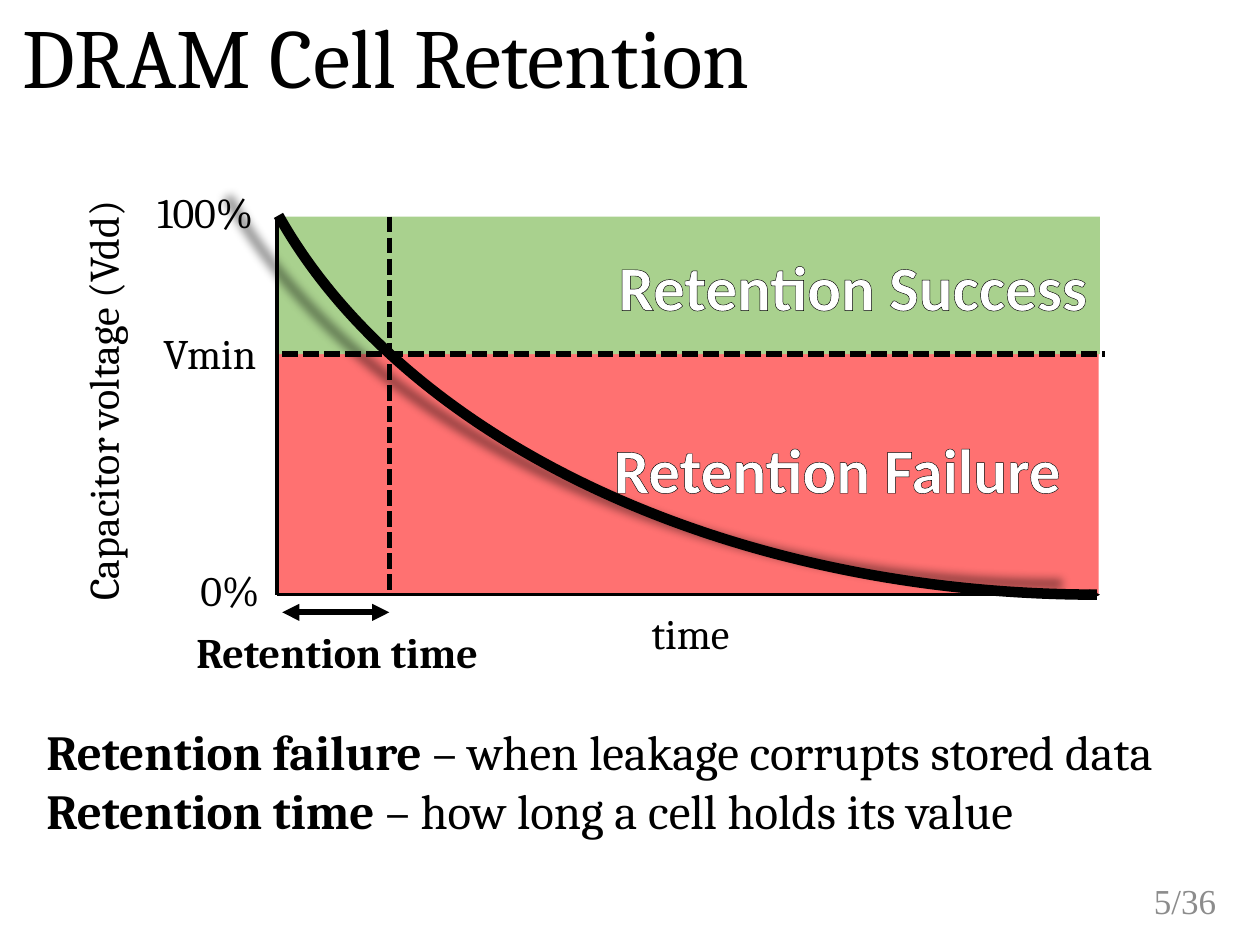
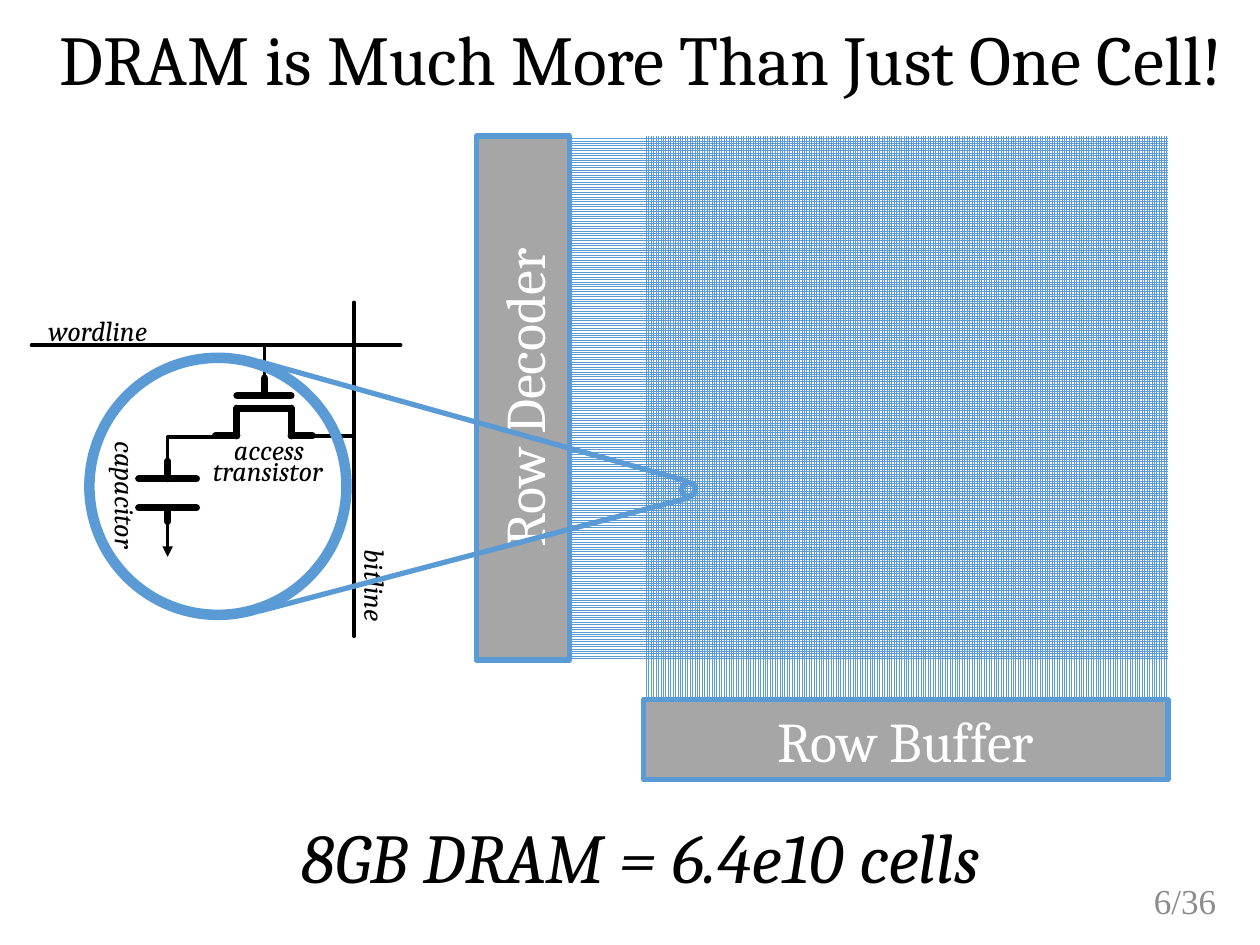
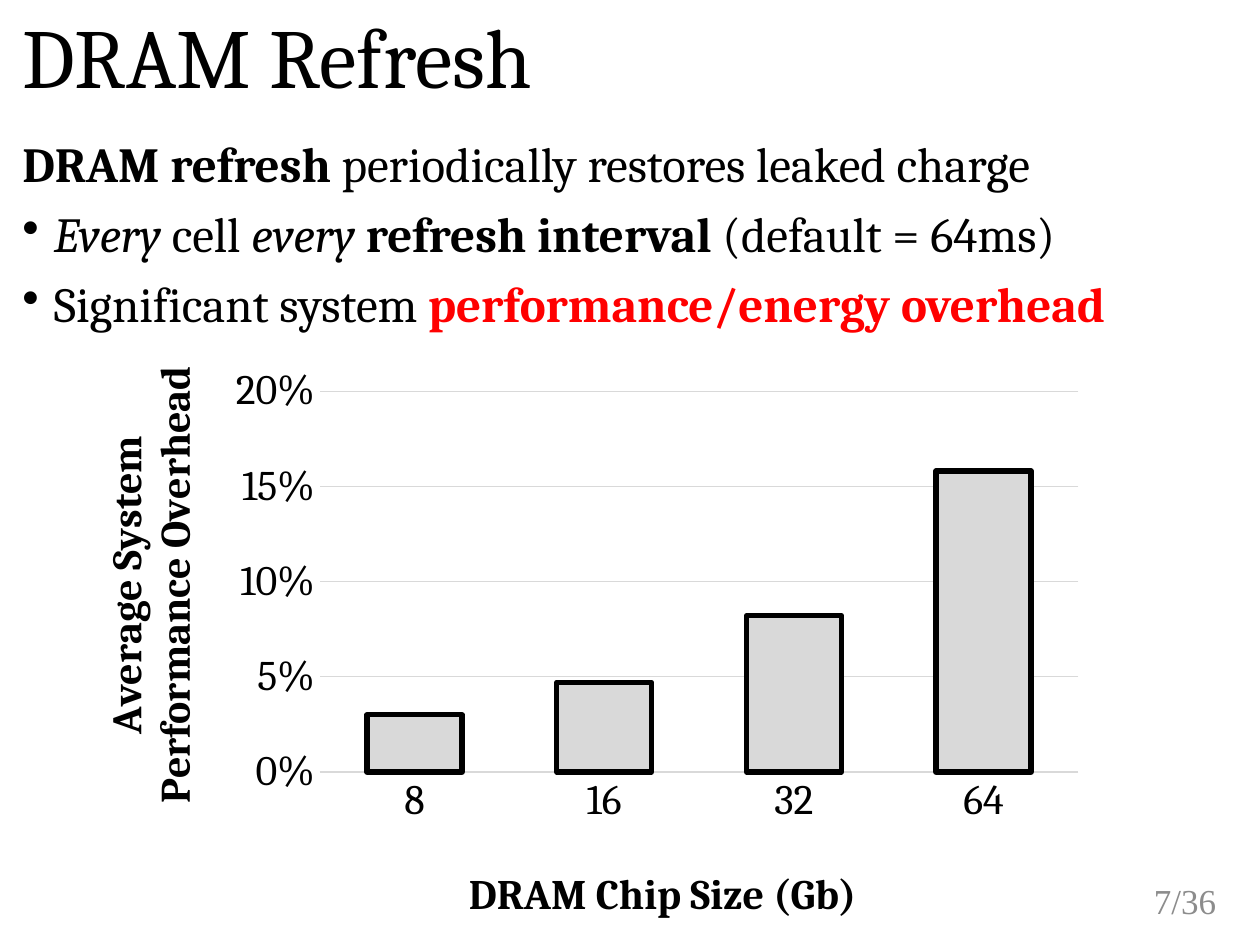
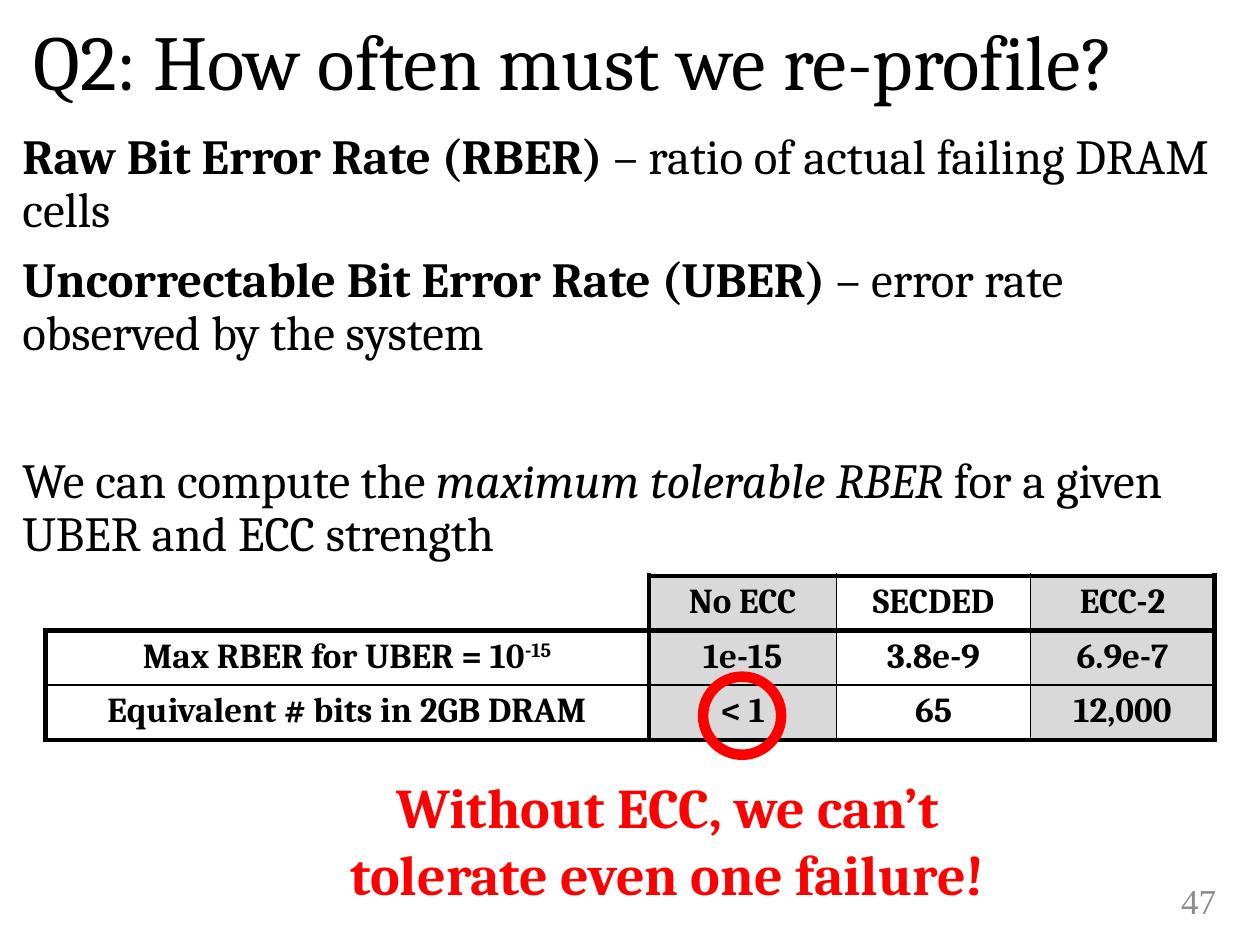
from dataclasses import dataclass, replace
from typing import Any, NamedTuple, Optional, Sequence

from lxml import etree
from pptx import Presentation
from pptx import util as u
from pptx.chart import data as chart_data
from pptx.dml.color import RGBColor
from pptx.enum import chart as charts, dml, shapes, text
from pptx.oxml import ns

WIDTH, HEIGHT = u.Inches(10), u.Inches(7.5)
COLUMN, ROW = WIDTH // 100, HEIGHT // 75  # every place below is in columns and rows

ALIGN, ANCHOR = text.PP_ALIGN, text.MSO_ANCHOR
SHAPE, PATTERN = shapes.MSO_SHAPE, dml.MSO_PATTERN


@dataclass(frozen=True)
class Theme:
    ink: RGBColor = RGBColor(0x00, 0x00, 0x00)
    paper: RGBColor = RGBColor(0xFF, 0xFF, 0xFF)
    muted: RGBColor = RGBColor(0x8C, 0x8C, 0x8C)
    alert: RGBColor = RGBColor(0xFF, 0x00, 0x00)
    success: RGBColor = RGBColor(0xA9, 0xD1, 0x8E)
    failure: RGBColor = RGBColor(0xFF, 0x71, 0x71)
    blue: RGBColor = RGBColor(0x5B, 0x9B, 0xD5)
    block: RGBColor = RGBColor(0xA6, 0xA6, 0xA6)
    pale: RGBColor = RGBColor(0xD9, 0xD9, 0xD9)
    serif: str = "Cambria"
    sans: str = "Calibri"
    footer: str = "Times New Roman"
    title: float = 48
    question: float = 44.4
    headline: float = 40
    band: float = 36
    callout: float = 32
    body: float = 28
    label: float = 24
    small: float = 20
    circuit: float = 16
    chart: float = 10


THEME = Theme()


@dataclass(frozen=True)
class Style:
    size: float
    color: RGBColor = THEME.ink
    face: str = THEME.serif
    bold: bool = False
    italic: bool = False
    align: Any = ALIGN.LEFT
    anchor: Any = ANCHOR.TOP
    spacing: Optional[float] = None


TITLE = Style(THEME.title, spacing=0.9)
HEADLINE = Style(THEME.headline, align=ALIGN.CENTER, spacing=0.9)
BODY = Style(THEME.body, spacing=0.9)
LABEL = Style(THEME.label, align=ALIGN.CENTER)
AXIS_LABEL = replace(LABEL, anchor=ANCHOR.MIDDLE)
AXIS_TITLE = replace(LABEL, bold=True)
CIRCUIT = Style(THEME.circuit, italic=True, align=ALIGN.CENTER, anchor=ANCHOR.MIDDLE)
BAND = Style(THEME.band, THEME.paper, THEME.sans, True, align=ALIGN.RIGHT, anchor=ANCHOR.MIDDLE)
BLOCK = Style(THEME.callout, THEME.paper, align=ALIGN.CENTER, anchor=ANCHOR.MIDDLE)
CELL = Style(THEME.small, bold=True, align=ALIGN.CENTER)
CALLOUT = Style(THEME.callout, THEME.alert, bold=True, align=ALIGN.CENTER)
NUMBER = Style(THEME.small, THEME.muted, THEME.footer, align=ALIGN.RIGHT, anchor=ANCHOR.MIDDLE)


class Area(NamedTuple):
    left: float
    top: float
    width: float
    height: float


class Span(NamedTuple):
    words: str
    bold: Optional[bool] = None
    italic: Optional[bool] = None
    color: Optional[RGBColor] = None
    raised: bool = False


class Line(NamedTuple):
    spans: Sequence[Span]
    before: float = 0
    bullet: bool = False


class Label(NamedTuple):
    words: str
    area: Area
    turn: float = 0


class Wire(NamedTuple):
    start: tuple[float, float]
    end: tuple[float, float]
    weight: float = 2
    dashed: bool = False
    head: bool = False
    tail: bool = False
    color: RGBColor = THEME.ink


TITLE_AREA = Area(0.8, 0.8, 98.3, 8.1)
NUMBER_AREA = Area(86.7, 69.5, 10.8, 4)


def place(area: Area) -> tuple[int, int, int, int]:
    return (round(area.left * COLUMN), round(area.top * ROW),
            round(area.width * COLUMN), round(area.height * ROW))


def add_child(parent: Any, tag: str, **attributes: str) -> Any:
    return etree.SubElement(parent, ns.qn(tag), attributes)


def set_font(font: Any, style: Style) -> None:
    font.size, font.name = u.Pt(style.size), style.face
    font.bold, font.italic = style.bold, style.italic
    font.color.rgb = style.color


def write(frame: Any, content: str | Sequence[Line], style: Style) -> None:
    """Fill a text frame with one plain string or with lines of spans."""
    lines = [Line([Span(content)])] if isinstance(content, str) else content
    frame.vertical_anchor = style.anchor
    for index, line in enumerate(lines):
        para = frame.add_paragraph() if index else frame.paragraphs[0]
        if line.bullet:
            properties = para._p.get_or_add_pPr()
            properties.set("marL", str(u.Inches(0.25)))
            properties.set("indent", str(-u.Inches(0.25)))
            add_child(properties, "a:buChar", char="•")
        para.alignment = style.align
        if style.spacing:
            para.line_spacing = style.spacing
        if line.before:
            para.space_before = u.Pt(line.before)
        for span in line.spans:
            run = para.add_run()
            run.text = span.words
            set_font(run.font, replace(
                style,
                bold=style.bold if span.bold is None else span.bold,
                italic=style.italic if span.italic is None else span.italic,
                color=span.color or style.color))
            if span.raised:
                run.font._element.set("baseline", "30000")


def add_text(parent: Any, area: Area, content: str | Sequence[Line], style: Style,
             turn: float = 0, wrap: bool = True) -> None:
    box = parent.shapes.add_textbox(*place(area))
    box.rotation = turn
    box.text_frame.word_wrap = wrap
    write(box.text_frame, content, style)


def add_figure(parent: Any, kind: Any, area: Area, fill: Optional[RGBColor] = None,
               pattern: Any = None, line: Optional[RGBColor] = None, weight: float = 0) -> Any:
    figure = parent.shapes.add_shape(kind, *place(area))
    figure.shadow.inherit = False
    if pattern:
        figure.fill.patterned()
        figure.fill.pattern = pattern
        figure.fill.fore_color.rgb, figure.fill.back_color.rgb = THEME.blue, THEME.paper
    elif fill:
        figure.fill.solid()
        figure.fill.fore_color.rgb = fill
    else:
        figure.fill.background()
    if line:
        figure.line.color.rgb, figure.line.width = line, u.Pt(weight)
    else:
        figure.line.fill.background()
    return figure


def add_wire(parent: Any, wire: Wire, kind: Any = shapes.MSO_CONNECTOR.STRAIGHT,
             rounded: bool = False) -> Any:
    (x1, y1), (x2, y2) = wire.start, wire.end
    connector = parent.shapes.add_connector(
        kind, round(x1 * COLUMN), round(y1 * ROW), round(x2 * COLUMN), round(y2 * ROW))
    connector.line.color.rgb, connector.line.width = wire.color, u.Pt(wire.weight)
    if wire.dashed:
        connector.line.dash_style = dml.MSO_LINE.SQUARE_DOT
    stroke = connector.line._get_or_add_ln()
    if rounded:
        stroke.set("cap", "rnd")
    for tag, wanted in (("a:headEnd", wire.head), ("a:tailEnd", wire.tail)):
        if wanted:
            add_child(stroke, tag, type="triangle")
    add_child(connector._element.spPr, "a:effectLst")
    return connector


def add_page(deck: Any, number: str) -> Any:
    page = deck.slides.add_slide(deck.slide_layouts[6])
    add_text(page, NUMBER_AREA, number, NUMBER)
    return page


def add_band(page: Any, area: Area, words: str, color: RGBColor, margin: float) -> None:
    """Draw a coloured zone with outlined words that end at the given right margin."""
    band = add_figure(page, SHAPE.RECTANGLE, area, color)
    band.text_frame.margin_right = u.Inches(margin)
    write(band.text_frame, words, BAND)
    properties = band.text_frame.paragraphs[0].runs[0].font._element
    outline = etree.Element(ns.qn("a:ln"), w=str(u.Pt(1)))
    add_child(add_child(outline, "a:solidFill"), "a:srgbClr", val=str(THEME.ink))
    properties.insert(0, outline)


def add_decay_curve(page: Any) -> None:
    curve = add_figure(page, SHAPE.ARC, Area(17.7, -45.5, 138.7, 92.7),
                       line=THEME.ink, weight=6)
    curve.adjustments[0], curve.adjustments[1] = 162, 207.57
    properties = curve._element.spPr
    frame = properties.find(ns.qn("a:xfrm"))
    frame.set("flipH", "1")
    frame.set("flipV", "1")
    shadow = add_child(properties.find(ns.qn("a:effectLst")), "a:outerShdw",
                       blurRad=str(u.Pt(5)), sx="102000", sy="102000",
                       algn="ctr", rotWithShape="0")
    add_child(add_child(shadow, "a:srgbClr", val=str(THEME.ink)), "a:alpha", val="40000")


def build_retention(deck: Any) -> None:
    page = add_page(deck, "5/36")
    left, right, top, vmin, bottom, limit = 22, 87.3, 17.2, 28.1, 47.2, 30.9
    add_band(page, Area(22.1, 27, 65.1, 20.3), "Retention Failure", THEME.failure, 0.3)
    add_band(page, Area(left, top, 65.3, 10.9), "Retention Success", THEME.success, 0.1)
    add_text(page, TITLE_AREA, "DRAM Cell Retention", TITLE)
    add_text(page, Area(2.7, 56.8, 94.5, 13.4), [
        Line([Span("Retention failure ", bold=True),
              Span("– when leakage corrupts stored data")]),
        Line([Span("Retention time ", bold=True),
              Span("– how long a cell holds its value")]),
    ], replace(BODY, spacing=None))
    add_wire(page, Wire((left, bottom), (left, top)))
    add_wire(page, Wire((left, bottom), (right, bottom), tail=True))
    add_text(page, Area(40.4, 47.9, 28.8, 4.6), "time", AXIS_LABEL)
    add_text(page, Area(-19.3, 29.5, 54.8, 4.6), "Capacitor voltage (Vdd)", AXIS_LABEL, 270)
    add_decay_curve(page)
    for tick in (Label("100%", Area(11, 14.3, 10.6, 5)),
                 Label("0%", Area(14.8, 44.3, 6.9, 5)),
                 Label("Vmin", Area(11.9, 25.5, 9.5, 5))):
        add_text(page, tick.area, tick.words, LABEL, wrap=False)
    for wire in (Wire((22.4, vmin), (87.7, vmin), 3, dashed=True),
                 Wire((22.4, 48.6), (limit, 48.6), 3.25, head=True, tail=True),
                 Wire((limit, top), (limit, bottom), 3, dashed=True)):
        add_wire(page, wire)
    add_text(page, Area(14.6, 49.2, 25.7, 5), "Retention time",
             replace(LABEL, bold=True, align=ALIGN.LEFT), wrap=False)


def add_cell_circuit(page: Any) -> None:
    """Draw one cell: gate and channel of the transistor, capacitor plates, ground."""
    cell = page.shapes.add_group_shape()
    for label in (Label("wordline", Area(2.5, 24.6, 10.5, 3.2)),
                  Label("capacitor", Area(3.5, 37.5, 13, 3.6), 90),
                  Label("access", Area(14.9, 33.8, 12.9, 3.7)),
                  Label("transistor", Area(14.9, 35.2, 12.7, 4.3)),
                  Label("bitline", Area(25, 44.7, 9.6, 3.6), 90)):
        add_text(cell, label.area, label.words, CIRCUIT, label.turn)
    word, bit, gate, plate = 27.4, 28.1, 21, 13.3
    source, drain, channel, contact = 18.8, 23.1, 32.4, 34.6
    upper, lower = 38, 40.3
    thick = 4
    for wire in (
        Wire((31.8, word), (2.5, word)),
        Wire((bit, 50.5), (bit, 24)),
        Wire((gate, 31.3), (gate, 30), thick),
        Wire((drain, 31.4), (source, 31.4), thick),
        Wire((drain, contact), (drain, channel), thick),
        Wire((drain, channel), (source, channel), thick),
        Wire((drain, contact), (24.8, contact), thick),
        Wire((17.1, contact), (source, contact), thick),
        Wire((source, contact), (source, channel), thick),
        Wire((gate, word), (gate, 30.2)),
        Wire((bit, contact), (24.8, contact)),
        Wire((plate, 41.4), (plate, 44.2), tail=True),
        Wire((plate, upper), (plate, 36.6), thick),
        Wire((15.6, lower), (11, lower), thick),
        Wire((15.6, upper), (11, upper), thick),
        Wire((plate, 41.4), (plate, lower), thick),
    ):
        add_wire(cell, wire, rounded=True)
    corner = add_wire(cell, Wire((17.1, 34.7), (plate, 37.2)), shapes.MSO_CONNECTOR.ELBOW)
    add_child(corner._element.spPr.xpath(".//a:avLst")[0], "a:gd", name="adj1", fmla="val 100000")
    add_figure(cell, SHAPE.OVAL, Area(7.1, 28.4, 20.4, 20.4), line=THEME.blue, weight=6)


def add_cell_array(page: Any) -> None:
    array = page.shapes.add_group_shape()
    left, top, side, lead = 51.1, 10.8, 41.6, 5.9
    for pattern, area in (
        (PATTERN.SMALL_GRID, Area(left, top, side, side)),
        (PATTERN.LIGHT_HORIZONTAL, Area(left - lead, top, lead, side)),
        (PATTERN.LIGHT_VERTICAL, Area(left, top + side, side, lead)),
    ):
        add_figure(array, SHAPE.RECTANGLE, area, pattern=pattern)
    for words, area, upright in (
        ("Row Decoder", Area(37.8, top, 7.4, side), True),
        ("Row Buffer", Area(left, 55.5, side, 6.4), False),
    ):
        block = add_figure(array, SHAPE.RECTANGLE, area, THEME.block, line=THEME.blue, weight=3)
        if upright:
            block.text_frame._txBody.bodyPr.set("vert", "vert270")
        write(block.text_frame, words, BLOCK)


def build_array(deck: Any) -> None:
    page = add_page(deck, "6/36")
    add_text(page, Area(1.7, 1.5, 98.3, 8.3), "DRAM is Much More Than Just One Cell!", HEADLINE)
    add_cell_circuit(page)
    add_text(page, Area(1.7, 64.8, 98.3, 8.3), "8GB DRAM = 6.4e10 cells",
             replace(HEADLINE, italic=True))
    add_cell_array(page)
    zoom = page.shapes.add_group_shape()
    add_figure(zoom, SHAPE.OVAL, Area(54.1, 38.3, 1.1, 1.1), line=THEME.blue, weight=3)
    for start, end in (((54.6, 38.2), (20.6, 28.7)), ((54.7, 39.5), (20.6, 48.5))):
        add_wire(zoom, Wire(start, end, 3, color=THEME.blue))


def set_layout(element: Any, index: int, x: float, y: float,
               size: Optional[tuple[float, float]] = None) -> None:
    """Fix a piece of the chart at shares of the chart's width and height."""
    for old in element.findall(ns.qn("c:layout")):
        element.remove(old)
    layout = etree.Element(ns.qn("c:layout"))
    element.insert(index, layout)
    manual = add_child(layout, "c:manualLayout")
    if size:
        add_child(manual, "c:layoutTarget", val="inner")
    add_child(manual, "c:xMode", val="edge")
    add_child(manual, "c:yMode", val="edge")
    for tag, share in zip(("c:x", "c:y", "c:w", "c:h"), (x, y, *(size or ()))):
        add_child(manual, tag, val=str(share))


def set_axis(axis: Any, title: str, x: float, y: float) -> None:
    axis.major_tick_mark = axis.minor_tick_mark = charts.XL_TICK_MARK.NONE
    set_font(axis.tick_labels.font, LABEL)
    frame = axis.axis_title.text_frame
    frame.text = title
    for para in frame.paragraphs:
        set_font(para.runs[0].font, AXIS_TITLE)
    set_layout(axis.axis_title._element, 1, x, y)


def add_overhead_chart(page: Any) -> None:
    data = chart_data.CategoryChartData(number_format="0%")
    data.categories = ["8", "16", "32", "64"]
    data.add_series("Series 1", [0.03, 0.047, 0.082, 0.158])
    chart = page.shapes.add_chart(charts.XL_CHART_TYPE.COLUMN_CLUSTERED,
                                  *place(Area(6.9, 28.3, 80.3, 45.8)), data).chart
    chart.has_title = chart.has_legend = False
    set_font(chart.font, Style(THEME.chart, face=THEME.sans))
    plot = chart.plots[0]
    plot.gap_width, plot.vary_by_categories = 100, False
    bars = plot.series[0].format
    bars.fill.solid()
    bars.fill.fore_color.rgb = THEME.pale
    bars.line.color.rgb, bars.line.width = THEME.ink, u.Pt(3)

    sizes, overhead = chart.category_axis, chart.value_axis
    set_axis(sizes, "DRAM Chip Size (Gb)", 0.37, 0.87)
    set_axis(overhead, "Average System\nPerformance Overhead", 0.01, 0.01)
    turn = overhead.axis_title.text_frame._txBody.bodyPr
    turn.set("rot", "-5400000")
    turn.set("vert", "horz")
    overhead.minimum_scale, overhead.maximum_scale, overhead.major_unit = 0, 0.2, 0.05
    overhead.tick_labels.number_format = "0%"
    overhead.tick_labels.number_format_is_linked = False
    overhead.format.line.fill.background()
    for line in (sizes.format.line, overhead.major_gridlines.format.line):
        line.color.rgb, line.width = THEME.pale, u.Pt(0.75)
    set_layout(chart._chartSpace.chart.plotArea, 0, 0.23, 0.06, (0.75, 0.66))


def build_refresh(deck: Any) -> None:
    page = add_page(deck, "7/36")
    add_text(page, TITLE_AREA, "DRAM Refresh", TITLE)
    add_text(page, Area(0.8, 10.6, 98.3, 24), [
        Line([Span("DRAM refresh ", bold=True), Span("periodically restores leaked charge")]),
        Line([Span("Every ", italic=True), Span("cell "), Span("every ", italic=True),
              Span("refresh interval ", bold=True), Span("(default = 64ms)")], 10, True),
        Line([Span("Significant system "),
              Span("performance/energy overhead", bold=True, color=THEME.alert)], 10, True),
    ], BODY)
    add_overhead_chart(page)


def set_border(cell: Any, side: str, weight: float) -> None:
    """Draw one cell edge; a weight of 0 hides it."""
    edge = add_child(cell._tc.get_or_add_tcPr(), f"a:ln{side}", w=str(u.Pt(weight)))
    if weight:
        add_child(add_child(edge, "a:solidFill"), "a:srgbClr", val=str(THEME.ink))
    else:
        add_child(edge, "a:noFill")


def add_ecc_table(page: Any) -> None:
    rows = [
        ["", "No ECC", "SECDED", "ECC-2"],
        ["Max RBER for UBER = 10", "1e-15", "3.8e-9", "6.9e-7"],
        ["Equivalent # bits in 2GB DRAM", "< 1", "65", "12,000"],
    ]
    widths, height = [47.9, 14.9, 15.4, 14.6], 4.1
    table = page.shapes.add_table(len(rows), len(widths), *place(
        Area(3.6, 45.7, sum(widths), height * len(rows)))).table
    table.first_row = table.horz_banding = False
    for column, width in zip(table.columns, widths):
        column.width = round(width * COLUMN)
    for row in table.rows:
        row.height = round(height * ROW)
    heavy_x, heavy_y = {0, 1, len(widths)}, {0, 1, len(rows)}
    for y, row in enumerate(rows):
        for x, words in enumerate(row):
            cell, corner = table.cell(y, x), x == y == 0
            for side, heavy in (("L", x in heavy_x), ("R", x + 1 in heavy_x),
                                ("T", y in heavy_y), ("B", y + 1 in heavy_y)):
                hidden = corner and side in "LT"
                set_border(cell, side, 0 if hidden else 3 if heavy else 1)
            cell.fill.solid()
            cell.fill.fore_color.rgb = THEME.pale if x % 2 else THEME.paper
            spans = [Span(words)] if words else []
            if words.startswith("Max RBER"):
                spans.append(Span("-15", raised=True))
            write(cell.text_frame, [Line(spans)], CELL)
            cell.vertical_anchor = CELL.anchor


def build_reprofiling(deck: Any) -> None:
    page = add_page(deck, "47")
    add_text(page, Area(1.7, 0.7, 96.7, 8.3), "Q2: How often must we re-profile?",
             replace(TITLE, size=THEME.question, anchor=ANCHOR.BOTTOM))
    add_text(page, Area(0.8, 10, 98.3, 58.2), [
        Line([Span("Raw Bit Error Rate (RBER)", bold=True),
              Span(" – ratio of actual failing DRAM cells")]),
        Line([Span("Uncorrectable Bit Error Rate (UBER)", bold=True),
              Span(" – error rate observed by the system")], 10),
        Line([Span("We can compute the "), Span("maximum tolerable RBER ", italic=True),
              Span("for a given UBER and ECC strength")], 54),
    ], BODY)
    add_ecc_table(page)
    add_figure(page, SHAPE.OVAL, Area(55.8, 53.7, 6.2, 6.2), line=THEME.alert, weight=6)
    add_text(page, Area(24.6, 60.8, 56.8, 11.8),
             "Without ECC, we can’t tolerate even one failure!", CALLOUT)


def main() -> None:
    deck = Presentation()
    deck.slide_width, deck.slide_height = WIDTH, HEIGHT
    for build in (build_retention, build_array, build_refresh, build_reprofiling):
        build(deck)
    deck.save("out.pptx")


if __name__ == "__main__":
    main()
